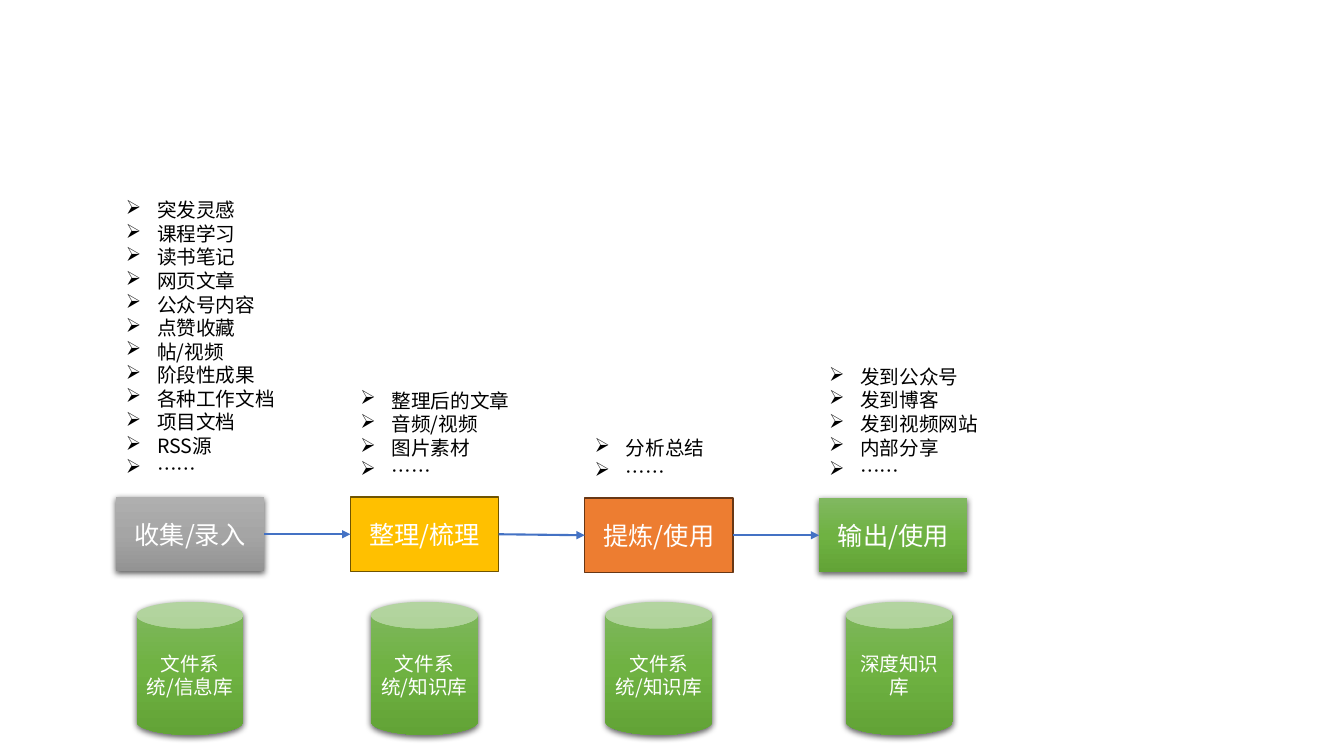
from lxml import etree
from pptx import Presentation
from pptx.dml.color import RGBColor
from pptx.enum.shapes import MSO_CONNECTOR, MSO_SHAPE
from pptx.enum.text import MSO_ANCHOR, MSO_AUTO_SIZE, PP_ALIGN
from pptx.oxml.ns import qn
from pptx.util import Inches, Pt

RECT, CAN = MSO_SHAPE.RECTANGLE, MSO_SHAPE.CAN
STRAIGHT = MSO_CONNECTOR.STRAIGHT
CENTER, MIDDLE = PP_ALIGN.CENTER, MSO_ANCHOR.MIDDLE
FIT_SHAPE = MSO_AUTO_SIZE.SHAPE_TO_FIT_TEXT
LEFT_SITE, RIGHT_SITE = 1, 3

FONT = "Noto Sans CJK SC"
COLORS = {
    "text": "000000", "label": "FFFFFF", "arrow": "4472C4", "shadow": "000000",
    "gold": "FFC000", "gold_edge": "705400",
    "orange": "ED7D31", "orange_edge": "683715",
}
GRADIENTS = {
    "gray": ("AFAFAF", "A5A5A5", "939393"),
    "green": ("81B861", "6FB242", "62A336"),
}

# Grid in inches: one column per stage
FIRST_LEFT, PITCH = 1.15, 2.325
STEP_W, STEP_H = 1.47, 0.74
STORE_TOP, STORE_W, STORE_H = 5.97, 1.06, 1.32
LIST_BOTTOM, LIST_ROW, LIST_PAD = 4.85, 0.236, 0.1
INDENT = Inches(0.31)

# Step label, colour, step top, list width, list items, store label, store shift
STAGES = [
    ("收集/录入", "gray", 4.93, 1.7,
     ["突发灵感", "课程学习", "读书笔记", "网页文章", "公众号内容", "点赞收藏",
      "帖/视频", "阶段性成果", "各种工作文档", "项目文档", "RSS源", "……"],
     "文件系统/信息库", 0),
    ("整理/梳理", "gold", 4.93, 1.7,
     ["整理后的文章", "音频/视频", "图片素材", "……"], "文件系统/知识库", 0),
    ("提炼/使用", "orange", 4.94, 1.3,
     ["分析总结", "……"], "文件系统/知识库", 0),
    ("输出/使用", "green", 4.94, 1.7,
     ["发到公众号", "发到博客", "发到视频网站", "内部分享", "……"],
     "深度知识库", 0.06),
]


def add_node(parent, tag, **attributes):
    return etree.SubElement(parent, qn(tag), attributes)


def add_run(paragraph, text, size, color):
    run = paragraph.add_run()
    run.text = text
    run.font.size = Pt(size)
    run.font.color.rgb = RGBColor.from_string(COLORS[color])
    run.font.name = FONT
    add_node(run.font._element, "a:ea", typeface=FONT)


def fill_gradient(shape, stops):
    shape.fill.gradient()
    shape.fill.gradient_angle = 270
    stop_list = shape._element.spPr.find(".//" + qn("a:gsLst"))
    for old_stop in list(stop_list):
        stop_list.remove(old_stop)
    for position, color in zip(("0", "50000", "100000"), stops):
        stop = add_node(stop_list, "a:gs", pos=position)
        add_node(stop, "a:srgbClr", val=color)


def add_soft_shadow(shape):
    effects = shape._element.spPr.find(qn("a:effectLst"))
    shadow = add_node(effects, "a:outerShdw", blurRad=str(Pt(4.5)), dist=str(Pt(1.5)),
                      dir="5400000", algn="ctr", rotWithShape="0")
    color = add_node(shadow, "a:srgbClr", val=COLORS["shadow"])
    add_node(color, "a:alpha", val="63000")


def add_block(slide, kind, box, label, size, color):
    block = slide.shapes.add_shape(kind, *map(Inches, box))
    block.shadow.inherit = False
    if color in GRADIENTS:
        fill_gradient(block, GRADIENTS[color])
        block.line.fill.background()
        add_soft_shadow(block)
    else:
        block.fill.solid()
        block.fill.fore_color.rgb = RGBColor.from_string(COLORS[color])
        block.line.color.rgb = RGBColor.from_string(COLORS[color + "_edge"])
        block.line.width = Pt(1)
    frame = block.text_frame
    frame.word_wrap = True
    frame.vertical_anchor = MIDDLE
    frame.paragraphs[0].alignment = CENTER
    add_run(frame.paragraphs[0], label, size, "label")
    return block


def add_list(slide, left, width, items):
    height = LIST_PAD + LIST_ROW * len(items)
    box = (left, LIST_BOTTOM - height, width, height)
    frame = slide.shapes.add_textbox(*map(Inches, box)).text_frame
    frame.word_wrap = False
    frame.auto_size = FIT_SHAPE
    for index, item in enumerate(items):
        paragraph = frame.add_paragraph() if index else frame.paragraphs[0]
        properties = paragraph._p.get_or_add_pPr()
        properties.set("marL", str(INDENT))
        properties.set("indent", str(-INDENT))
        add_node(properties, "a:buChar", char="➢")
        add_run(paragraph, item, 14, "text")


def add_arrow(slide, source, target):
    arrow = slide.shapes.add_connector(STRAIGHT, 0, 0, 0, 0)
    arrow.begin_connect(source, RIGHT_SITE)
    arrow.end_connect(target, LEFT_SITE)
    arrow.line.color.rgb = RGBColor.from_string(COLORS["arrow"])
    arrow.line.width = Pt(1.5)
    add_node(arrow.line._get_or_add_ln(), "a:tailEnd", type="triangle")
    add_node(arrow._element.spPr, "a:effectLst")


def main():
    deck = Presentation()
    deck.slide_width, deck.slide_height = Inches(13.33), Inches(7.5)
    slide = deck.slides.add_slide(deck.slide_layouts[6])

    # Stages: item list, step and store in each column
    steps = []
    for column, stage in enumerate(STAGES):
        label, color, top, list_width, items, store, shift = stage
        left = FIRST_LEFT + column * PITCH
        add_list(slide, left, list_width, items)
        steps.append(add_block(slide, RECT, (left, top, STEP_W, STEP_H),
                               label, 18, color))
        store_left = left + (STEP_W - STORE_W) / 2 + shift
        add_block(slide, CAN, (store_left, STORE_TOP, STORE_W, STORE_H),
                  store, 14, "green")

    # Flow between neighbouring steps
    for source, target in zip(steps, steps[1:]):
        add_arrow(slide, source, target)

    deck.save("out.pptx")


if __name__ == "__main__":
    main()
